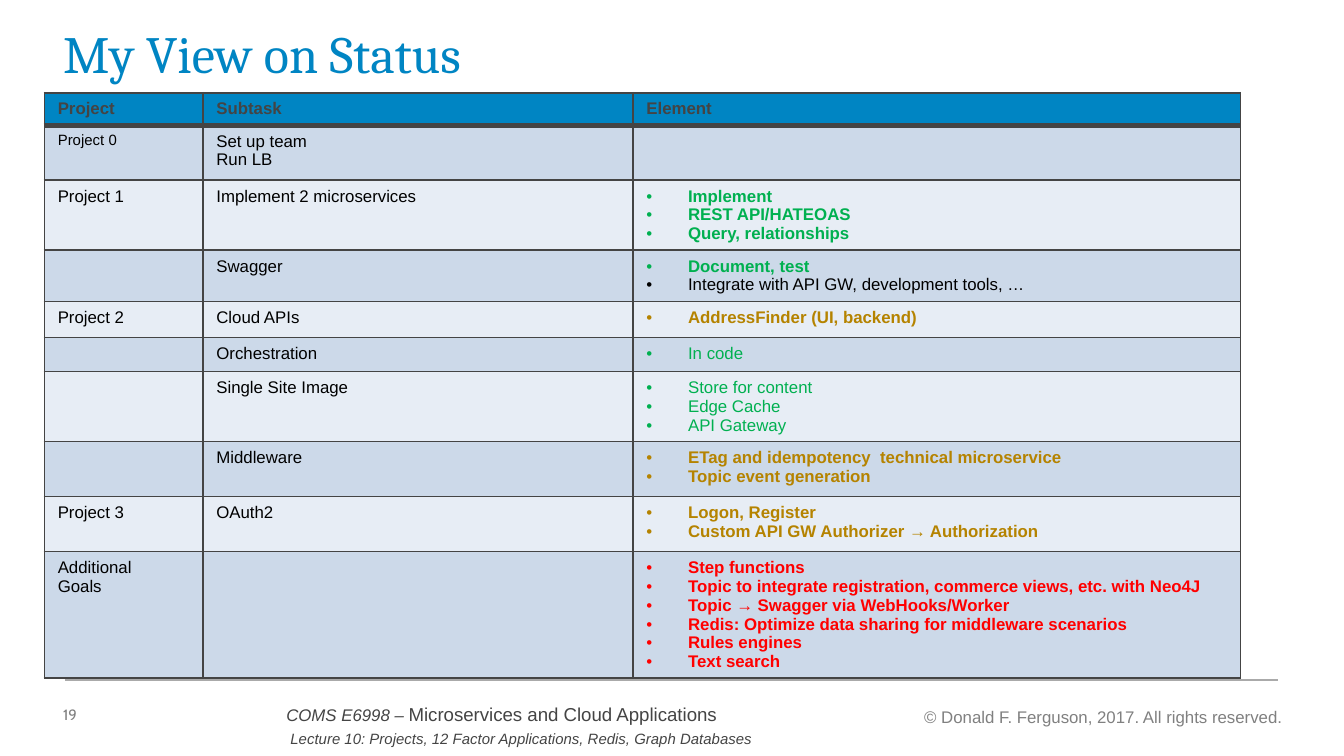
from lxml import etree
from pptx import Presentation
from pptx.dml.color import RGBColor
from pptx.enum.shapes import MSO_CONNECTOR
from pptx.enum.text import MSO_ANCHOR, MSO_AUTO_SIZE, PP_ALIGN
from pptx.oxml.ns import qn
from pptx.util import Inches, Pt

LINE = MSO_CONNECTOR.STRAIGHT
TOP, MID = MSO_ANCHOR.TOP, MSO_ANCHOR.MIDDLE
FIXED = MSO_AUTO_SIZE.NONE
LEFT, RIGHT = PP_ALIGN.LEFT, PP_ALIGN.RIGHT
WIDE = Inches(10)
HIGH = WIDE * 9 // 16
HUES = {
    "blue": "0085C3", "dark": "444444", "gray": "808080", "rule": "AAAAAA",
    "odd": "CCD9E9", "even": "E7EDF5", "black": "000000",
    "done": "00B050", "part": "B58300", "todo": "FF0000",
}
COLS = [1.18, 3.2, 4.52]
ROWS = [0.24, 0.41, 0.41, 0.28, 0.27, 0.25] + [0.41] * 4
HEADS = ["Project", "Subtask", "Element"]
GOALS = [
    ("Project 0", ["Set up team", "Run LB"], []),
    ("Project 1", ["Implement 2 microservices"], [
        ("Implement", "done", True),
        ("REST API/HATEOAS", "done", True),
        ("Query, relationships", "done", True)]),
    ("", ["Swagger"], [
        ("Document, test", "done", True),
        ("Integrate with API GW, development tools, …", "black", False)]),
    ("Project 2", ["Cloud APIs"], [
        ("AddressFinder (UI, backend)", "part", True)]),
    ("", ["Orchestration"], [("In code", "done", False)]),
    ("", ["Single Site Image"], [
        ("Store for content", "done", False),
        ("Edge Cache", "done", False),
        ("API Gateway", "done", False)]),
    ("", ["Middleware"], [
        ("ETag and idempotency  technical microservice", "part", True),
        ("Topic event generation", "part", True)]),
    ("Project 3", ["OAuth2"], [
        ("Logon, Register", "part", True),
        ("Custom API GW Authorizer → Authorization", "part", True)]),
    ("Additional\nGoals", [], [
        ("Step functions", "todo", True),
        ("Topic to integrate registration, commerce views, etc. with Neo4J", "todo", True),
        ("Topic → Swagger via WebHooks/Worker", "todo", True),
        ("Redis: Optimize data sharing for middleware scenarios", "todo", True),
        ("Rules engines", "todo", True),
        ("Text search", "todo", True)]),
]


def hue(name):
    return RGBColor.from_string(HUES[name])


def place(x, y, w, h):
    return Inches(x), Inches(y), Inches(w), Inches(h)


def add_run(par, text, size, tint, bold=False, slant=False, face="Arial"):
    for i, part in enumerate(text.split("\n")):
        if i:
            par.add_line_break()
        if part:
            run = par.add_run()
            run.text = part
            font = run.font
            font.name, font.size = face, Pt(size)
            font.bold, font.italic = bold, slant
            font.color.rgb = hue(tint)


def set_frame(frame, anchor=TOP):
    frame.margin_left = frame.margin_right = 0
    frame.margin_top = frame.margin_bottom = 0
    frame.word_wrap = True
    frame.auto_size = FIXED
    frame.vertical_anchor = anchor
    return frame.paragraphs[0]


def add_title(slide, box):
    title = slide.shapes.title
    title.left, title.top, title.width, title.height = box
    par = set_frame(title.text_frame)
    par.alignment, par.line_spacing = LEFT, 0.9
    add_run(par, "My View on Status", 28, "blue", face="Cambria")


def add_text(slide, box, runs, align=LEFT, space=1.0, anchor=TOP):
    par = set_frame(slide.shapes.add_textbox(*box).text_frame, anchor)
    par.alignment, par.line_spacing = align, space
    for text, size, tint, slant, face in runs:
        add_run(par, text, size, tint, slant=slant, face=face)


def add_foot(slide, box):
    x, y, w, h = box
    rule = slide.shapes.add_connector(LINE, x + Inches(0.01), y, x + w - Inches(0.03), y)
    rule.line.color.rgb, rule.line.width = hue("rule"), Pt(0.75)
    etree.SubElement(rule._element.spPr, qn("a:effectLst"))

    def part(left, top, wide, high):
        return (x + int(w * left), y + int(h * top), int(w * wide), int(h * high))

    add_text(slide, part(0, 0.4, 0.03, 0.26),
             [("19", 8, "gray", False, "Cabin")], space=0.9, anchor=MID)
    add_text(slide, part(0.67, 0.4, 0.33, 0.3),
             [("© Donald F. Ferguson, 2017. All rights reserved.", 9, "gray", False, "Arial")],
             RIGHT)
    add_text(slide, part(0.183, 0.28, 0.51, 0.72), [
        ("COMS E6998 – ", 9, "dark", True, "Arial"),
        ("Microservices and Cloud Applications\n", 10, "dark", False, "Arial"),
        (" Lecture 10: Projects, 12 Factor Applications, Redis, Graph Databases",
         8, "dark", True, "Arial")], space=1.2)


def add_edges(cell, row):
    props = cell._tc.get_or_add_tcPr()
    for side in "LRTB":
        thick = 3 if (row, side) in ((0, "B"), (1, "T")) else 1
        edge = etree.SubElement(props, qn("a:ln" + side), w=str(Pt(thick)))
        fill = etree.SubElement(edge, qn("a:solidFill"))
        etree.SubElement(fill, qn("a:srgbClr"), val=HUES["dark"])


def add_dot(par):
    props = par._p.get_or_add_pPr()
    props.set("marL", str(Inches(0.31)))
    props.set("indent", str(-Inches(0.31)))
    etree.SubElement(props, qn("a:buFont"), typeface="Arial")
    etree.SubElement(props, qn("a:buChar"), char="•")


def fill_cell(cell, items, row, tint, size=9, dots=False):
    add_edges(cell, row)
    cell.fill.solid()
    cell.fill.fore_color.rgb = hue(tint)
    frame = cell.text_frame
    for i, (text, shade, bold) in enumerate(items):
        par = frame.add_paragraph() if i else frame.paragraphs[0]
        if dots:
            add_dot(par)
        add_run(par, text, size, shade, bold)
    if not items:
        etree.SubElement(frame.paragraphs[0]._p, qn("a:endParaRPr"), sz="900")


def add_goals(slide, box):
    grid = slide.shapes.add_table(len(ROWS), len(COLS), *box)
    table = grid.table
    for col, size in zip(table.columns, COLS):
        col.width = Inches(size)
    for row, size in zip(table.rows, ROWS):
        row.height = Inches(size)
    grid.height = box[3]
    for col, head in enumerate(HEADS):
        fill_cell(table.cell(0, col), [(head, "dark", True)], 0, "blue")
    for row, (name, tasks, parts) in enumerate(GOALS, 1):
        tint = "odd" if row % 2 else "even"
        names = [(name, "black", False)] if name else []
        fill_cell(table.cell(row, 0), names, row, tint, 8 if row == 1 else 9)
        fill_cell(table.cell(row, 1), [(t, "black", False) for t in tasks], row, tint)
        fill_cell(table.cell(row, 2), parts, row, tint, dots=True)


def main():
    deck = Presentation()
    deck.slide_width, deck.slide_height = WIDE, HIGH
    slide = deck.slides.add_slide(deck.slide_layouts[5])
    add_foot(slide, place(0.47, 5.06, 9.07, 0.5))
    add_title(slide, place(0.47, 0.21, 9.06, 0.42))
    add_goals(slide, place(0.33, 0.69, 8.9, 4.49))
    deck.save("out.pptx")


if __name__ == "__main__":
    main()
